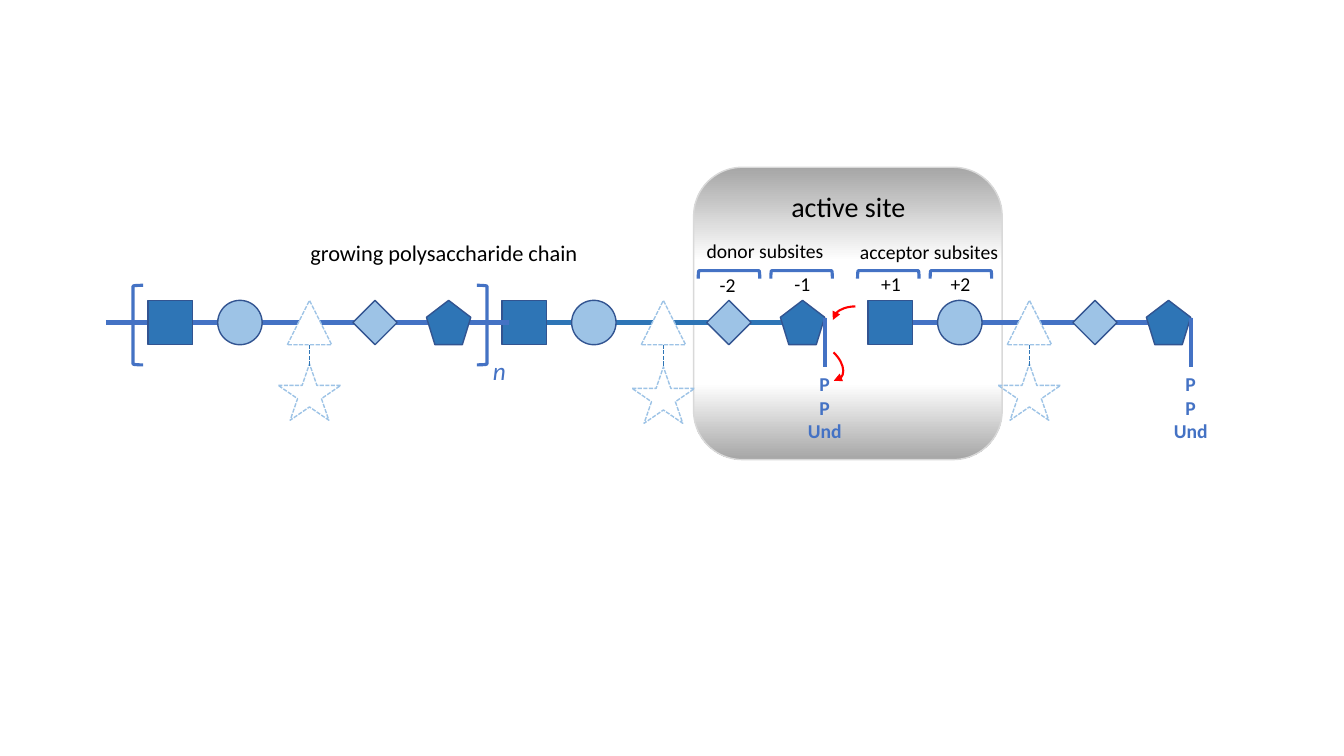
"""Draw the active site that joins a growing polysaccharide chain to an acceptor."""
from lxml.etree import SubElement
from pptx import Presentation
from pptx.dml.color import RGBColor
from pptx.enum.dml import MSO_LINE
from pptx.enum.shapes import MSO_CONNECTOR, MSO_SHAPE
from pptx.enum.text import MSO_AUTO_SIZE, PP_ALIGN
from pptx.oxml.ns import qn
from pptx.util import Inches, Pt

BLUE, DARK, LIGHT, EDGE = "4472C4", "2E75B6", "9DC3E6", "325491"
RED, BLACK, WHITE = "FF0000", "000000", "FFFFFF"
DASH = MSO_LINE.SQUARE_DOT

deck = Presentation()
deck.slide_width, deck.slide_height = Inches(13.33), Inches(7.5)
page = deck.slides.add_slide(deck.slide_layouts[6])


def draw_shape(kind, left, top, width, height, fill, edge, weight=1, dash=None):
    shape = page.shapes.add_shape(kind, Inches(left), Inches(top), Inches(width), Inches(height))
    shape.shadow.inherit = False
    if fill:
        shape.fill.solid()
        shape.fill.fore_color.rgb = RGBColor.from_string(fill)
    else:
        shape.fill.background()
    shape.line.color.rgb = RGBColor.from_string(edge)
    shape.line.width = Pt(weight)
    shape.line.dash_style = dash
    return shape


def draw_line(start_x, start_y, end_x, end_y, color, weight=3, dash=None):
    line = page.shapes.add_connector(
        MSO_CONNECTOR.STRAIGHT, Inches(start_x), Inches(start_y), Inches(end_x), Inches(end_y))
    line.line.color.rgb = RGBColor.from_string(color)
    line.line.width = Pt(weight)
    line.line.dash_style = dash
    SubElement(line._element.spPr, qn("a:effectLst"))


site = draw_shape(MSO_SHAPE.ROUNDED_RECTANGLE, 6.88, 1.66, 3.06, 2.9, None, "D9D9D9")
site.fill.gradient()
site.fill.gradient_angle = 270
stops = site._element.spPr.find(qn("a:gradFill")).find(qn("a:gsLst"))
for stop in list(stops):
    stops.remove(stop)
for percent, color in [(0, "A6A6A6"), (32, WHITE), (74, WHITE), (100, "A6A6A6")]:
    stop = SubElement(stops, qn("a:gs"), pos=str(percent * 1000))
    SubElement(stop, qn("a:srgbClr"), val=color)

sugars = [
    (MSO_SHAPE.RECTANGLE, 0, DARK, EDGE, None),
    (MSO_SHAPE.OVAL, 0.69, LIGHT, EDGE, None),
    (MSO_SHAPE.ISOSCELES_TRIANGLE, 1.38, WHITE, LIGHT, DASH),
    (MSO_SHAPE.REGULAR_PENTAGON, 2.76, DARK, EDGE, None),
    (MSO_SHAPE.DIAMOND, 2.03, LIGHT, EDGE, None),
]
chains = [
    (8.61, 8.61, 11.7, BLUE, 3.61),
    (4.98, 4.98, 8.07, DARK, 3.64),
    (1.47, 1.05, 5.05, BLUE, 3.61),
]
for left, line_start, line_end, color, star_top in chains:
    draw_line(line_start, 3.2, line_end, 3.2, color)
    for kind, offset, fill, edge, dash in sugars:
        draw_shape(kind, left + offset, 2.98, 0.44, 0.44, fill, edge, dash=dash)
    draw_shape(MSO_SHAPE.STAR_5_POINT, left + 1.29, star_top, 0.62, 0.56, None, LIGHT, dash=DASH)
    draw_line(left + 1.6, 3.42, left + 1.6, 3.63, DARK, 1, DASH)

for carrier_x in (8.18, 11.81):
    draw_line(carrier_x, 3.15, carrier_x, 3.64, BLUE)

draw_shape(MSO_SHAPE.LEFT_BRACKET, 1.32, 2.83, 0.1, 0.79, None, BLUE, 2.25)
draw_shape(MSO_SHAPE.RIGHT_BRACKET, 4.73, 2.83, 0.1, 0.79, None, BLUE, 2.25)
for left in (7.19, 7.91, 8.77, 9.49):
    subsite = draw_shape(MSO_SHAPE.LEFT_BRACKET, left, 2.42, 0.08, 0.61, None, BLUE, 2.25)
    subsite.rotation = 90

attack = draw_shape(MSO_SHAPE.ARC, 8.26, 3.04, 0.45, 0.27, None, RED, 1.5)
attack._element.spPr.xfrm.set("flipH", "1")
release = draw_shape(MSO_SHAPE.ARC, 7.95, 3.46, 0.45, 0.27, None, RED, 1.5)
release.rotation = 43
release.adjustments[0], release.adjustments[1] = 162, 11.786
for arrow in (attack, release):
    SubElement(arrow.line._get_or_add_ln(), qn("a:tailEnd"), type="triangle")

labels = [
    ("active site", 7.75, 1.83, 1.35, 0.44, 20, BLACK, PP_ALIGN.LEFT),
    ("growing polysaccharide chain", 2.98, 2.32, 3.29, 0.37, 16, BLACK, PP_ALIGN.LEFT),
    ("donor subsites", 6.91, 2.32, 1.37, 0.34, 14, BLACK, PP_ALIGN.LEFT),
    ("acceptor subsites", 8.43, 2.33, 1.59, 0.34, 14, BLACK, PP_ALIGN.LEFT),
    ("-2", 7.04, 2.66, 0.36, 0.34, 14, BLACK, PP_ALIGN.LEFT),
    ("-1", 7.78, 2.65, 0.36, 0.34, 14, BLACK, PP_ALIGN.LEFT),
    ("+1", 8.64, 2.65, 0.4, 0.34, 14, BLACK, PP_ALIGN.LEFT),
    ("+2", 9.23, 2.65, 0.59, 0.34, 14, BLACK, PP_ALIGN.CENTER),
    ("n", 4.79, 3.48, 0.33, 0.4, 18, BLUE, PP_ALIGN.LEFT),
    ("P\nP\nUnd", 7.91, 3.64, 0.54, 0.81, 14, BLUE, PP_ALIGN.CENTER),
    ("P\nP\nUnd", 11.54, 3.64, 0.54, 0.81, 14, BLUE, PP_ALIGN.CENTER),
]
for text, left, top, width, height, size, color, alignment in labels:
    box = page.shapes.add_textbox(Inches(left), Inches(top), Inches(width), Inches(height))
    frame = box.text_frame
    frame.text = text
    frame.word_wrap = text.startswith("growing")
    frame.auto_size = MSO_AUTO_SIZE.SHAPE_TO_FIT_TEXT
    for para in frame.paragraphs:
        para.alignment = alignment
        para.font.name = "Calibri"
        para.font.size = Pt(size)
        para.font.color.rgb = RGBColor.from_string(color)
        para.font.bold = text.endswith("Und")
        para.font.italic = text == "n"

deck.save("out.pptx")
